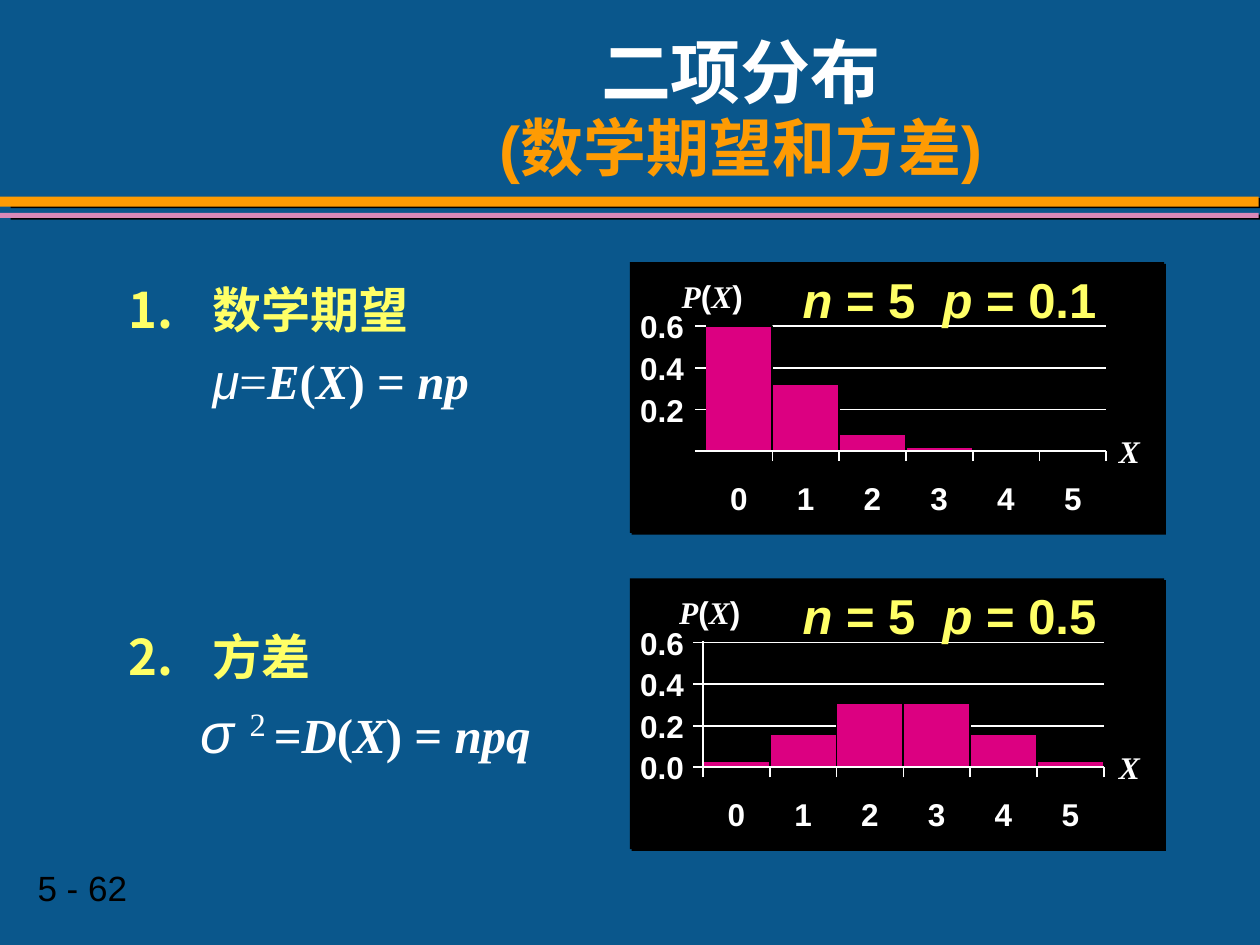
from lxml.etree import SubElement
from pptx import Presentation
from pptx.dml.color import RGBColor
from pptx.enum.shapes import MSO_CONNECTOR, MSO_SHAPE
from pptx.enum.text import MSO_ANCHOR, PP_ALIGN
from pptx.oxml.ns import qn
from pptx.util import Inches, Pt

COLORS = {
    "background": "0A578C", "orange": "FE9B03", "pink": "D989B8", "yellow": "FFFF66",
    "white": "FFFFFF", "black": "000000", "bar": "DC0081",
}
SANS, SERIF = "Arial", "Times New Roman"
UPRIGHT, ITALIC = {"italic": False}, {"italic": True}
SERIF_ITALIC = {"name": SERIF, "italic": True}


def rgb(name):
    return RGBColor.from_string(COLORS[name])


class SlideBuilder:
    """Holds the slide style and draws each kind of element on the current page."""

    bar_width, step, step_value, tick = 0.53, 0.33, 0.2, 0.08

    def __init__(self, page):
        self.page = page
        self.canvas = page.shapes
        page.background.fill.solid()
        page.background.fill.fore_color.rgb = rgb("background")

    def style(self, font, color=None, size=None, name=None, bold=None, italic=None):
        if color:
            font.color.rgb = rgb(color)
        if size:
            font.size = Pt(size)
        if name:
            font.name = name
        if bold is not None:
            font.bold = bold
        if italic is not None:
            font.italic = italic

    def rectangle(self, left, top, width, height, fill, line=None, shadow=None):
        box = self.canvas.add_shape(
            MSO_SHAPE.RECTANGLE, Inches(left), Inches(top), Inches(width), Inches(height))
        box.shadow.inherit = False
        box.fill.solid()
        box.fill.fore_color.rgb = rgb(fill)
        if line:
            box.line.color.rgb = rgb(line)
            box.line.width = Pt(1)
        else:
            box.line.fill.background()
        if shadow:
            distance, angle = shadow
            effects = box._element.spPr.find(qn("a:effectLst"))
            outer = SubElement(effects, qn("a:outerShdw"), blurRad="0", dist=str(Pt(distance)),
                               dir=str(angle * 60000), algn="ctr", rotWithShape="0")
            SubElement(outer, qn("a:srgbClr"), val=COLORS["black"])

    def line(self, left, top, right, bottom):
        rule = self.canvas.add_connector(
            MSO_CONNECTOR.STRAIGHT, Inches(left), Inches(top), Inches(right), Inches(bottom))
        rule.line.color.rgb = rgb("white")
        rule.line.width = Pt(1)
        SubElement(rule._element.spPr, qn("a:effectLst"))

    def frame(self, left, top, width, height, padded=True, wrap=True):
        box = self.canvas.add_textbox(Inches(left), Inches(top), Inches(width), Inches(height))
        frame = box.text_frame
        frame.word_wrap = wrap
        frame.margin_left = frame.margin_right = Inches(0.1 if padded else 0)
        frame.margin_top = frame.margin_bottom = Inches(0.05 if padded else 0)
        return frame

    def add_spans(self, para, spans, **base):
        self.style(para.font, **base)
        for text, options in spans:
            span = para.add_run()
            span.text = text
            self.style(span.font, **options)

    def label(self, left, top, width, spans):
        frame = self.frame(left, top, width, 0.3, padded=False, wrap=False)
        self.add_spans(frame.paragraphs[0], spans, name=SANS, size=18, bold=True, color="white")

    def title(self, first, second):
        frame = self.frame(2.17, 0.25, 7.42, 1.25)
        frame.vertical_anchor = MSO_ANCHOR.MIDDLE
        para = frame.paragraphs[0]
        para.alignment = PP_ALIGN.CENTER
        para.line_spacing = 0.95
        self.add_spans(para, [(first, {"name": "Vollkorn", "size": 40, "color": "white"})],
                       bold=True)
        para.add_line_break()
        self.add_spans(para, [(second, {"name": SANS, "size": 36, "color": "orange"})])

    def body(self, items):
        frame = self.frame(0.92, 2.17, 4, 4.33)
        for index, (number, indent, before, spans) in enumerate(items):
            para = frame.add_paragraph() if index else frame.paragraphs[0]
            para.alignment = PP_ALIGN.JUSTIFY
            para.space_before = Pt(before)
            properties = para._p.get_or_add_pPr()
            properties.set("marL", str(Inches(indent)))
            properties.set("indent", str(Inches(-indent if number else 0)))
            if number:
                color = SubElement(properties, qn("a:buClr"))
                SubElement(color, qn("a:srgbClr"), val=COLORS["yellow"])
                SubElement(properties, qn("a:buAutoNum"), type="arabicPeriod", startAt=str(number))
            self.add_spans(para, spans, name=SERIF, size=28, bold=True,
                           color="yellow" if number else "white")
        return frame

    def histogram(self, left, base, probabilities, caption, full_axis):
        self.canvas = self.page.shapes.add_group_shape().shapes
        right = left + 6 * self.bar_width
        self.rectangle(5, base - 1.5, 4.24, 2.15, "black", shadow=(1.4, 45))
        for level in range(1, 4):
            height = base - level * self.step
            self.line(left, height, right, height)
        for index, probability in enumerate(probabilities):
            height = probability * self.step / self.step_value
            self.rectangle(left + index * self.bar_width, base - height,
                           self.bar_width, height, "bar", line="black")
        for level in range(4):
            height = base - level * self.step
            self.line(left - self.tick, height, left, height)
            if level or full_axis:
                self.label(5.08, height - 0.15, 0.35, [(f"{level * self.step_value:.1f}", {})])
        self.line(left, base, right, base)
        for index in range(0 if full_axis else 1, 7):
            mark = left + index * self.bar_width
            self.line(mark, base + self.tick, mark, base)
        for index in range(6):
            self.label(left + (index + 0.5) * self.bar_width - 0.07, base + 0.22, 0.14,
                       [(str(index), {})])
        if full_axis:
            self.line(left, base - 1, left, base)
        self.label(8.88, base - 0.15, 0.17, [("X", SERIF_ITALIC)])
        self.label(left - 0.19, base - 1.38, 0.49,
                   [("P", SERIF_ITALIC), ("(", {}), ("X", SERIF_ITALIC), (")", {})])
        para = self.frame(6.08, base - 1.49, 2.91, 0.56).paragraphs[0]
        para.alignment = PP_ALIGN.CENTER
        self.add_spans(para, caption, name=SANS, size=28, bold=True, color="yellow")
        self.canvas = self.page.shapes


def main():
    deck = Presentation()
    deck.slide_width, deck.slide_height = Inches(10), Inches(7.5)
    builder = SlideBuilder(deck.slides.add_slide(deck.slide_layouts[6]))

    for top, height, fill in ((1.56, 0.08, "orange"), (1.69, 0.04, "pink")):
        builder.rectangle(0, top, 9.99, height, fill, shadow=(6.1, 9))
    number = builder.frame(0.2, 6.83, 1.87, 0.43, wrap=False)
    builder.add_spans(number.paragraphs[0], [("5 - 62", {})], name=SANS, size=20, color="black")
    builder.title("二项分布", "(数学期望和方差)")

    argument = [("(", UPRIGHT), ("X", ITALIC), (") = ", UPRIGHT)]
    plain = {"bold": False, "size": 32}
    body = builder.body([
        (1, 0.67, 7, [("数学期望", {})]),
        (None, 0.67, 7, [("μ", {"name": SANS, "bold": False, "italic": True}),
                         ("=", {"bold": False}), ("E", ITALIC), *argument, ("np", ITALIC)]),
        (2, 0.67, 124, [("方差", {"name": SANS})]),
        (None, 0.57, 7, [("σ ", {"name": SANS, "italic": True, **plain}), ("2 ", plain),
                         ("=", {}), ("D", ITALIC), *argument, ("npq", ITALIC)]),
    ])
    exponent = body.paragraphs[-1].runs[1]
    exponent.font._element.set("baseline", "30000")

    for left, base, probabilities, chance, full_axis in (
        (5.58, 6.09, (0.03, 0.16, 0.31, 0.31, 0.16, 0.03), "0.5", True),
        (5.6, 3.58, (0.6, 0.32, 0.08, 0.02), "0.1", False),
    ):
        caption = [("n", ITALIC), (" = 5  ", {}), ("p", ITALIC), (f" = {chance}", {})]
        builder.histogram(left, base, probabilities, caption, full_axis)

    deck.save("out.pptx")


if __name__ == "__main__":
    main()
